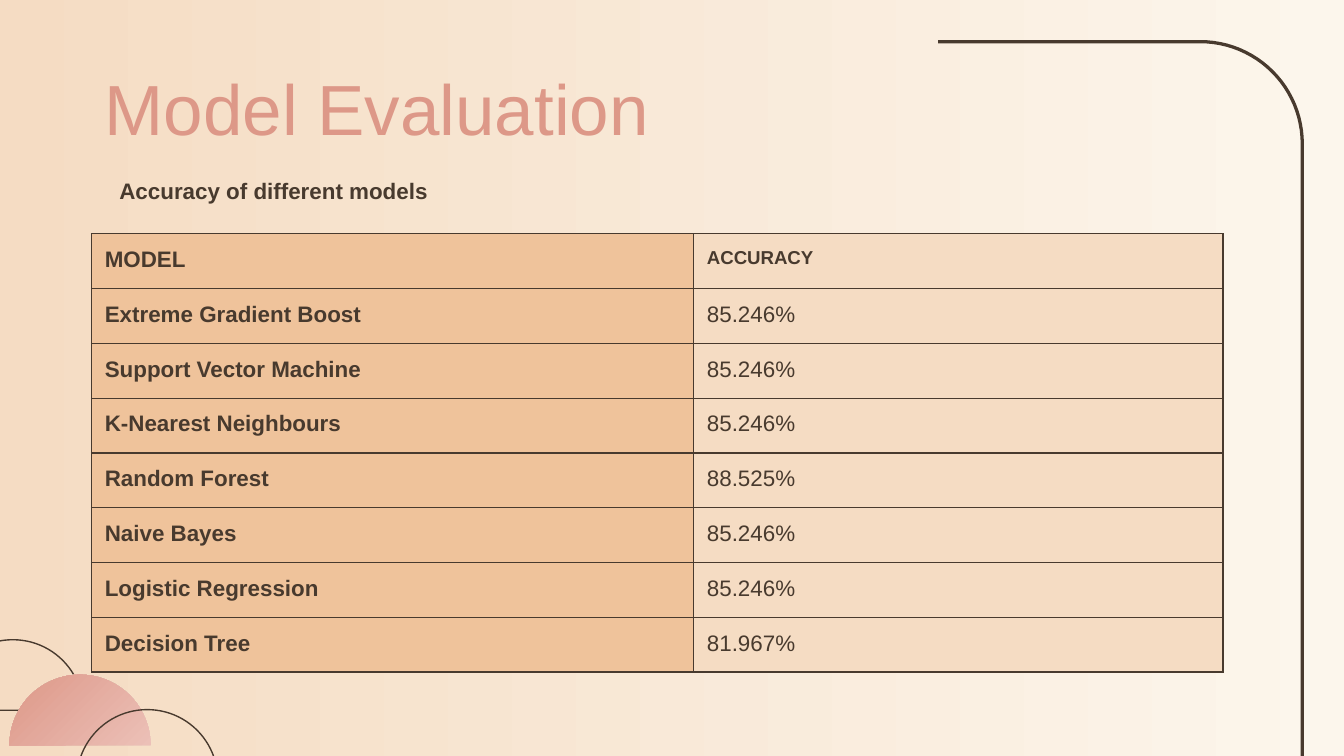
from math import cos, pi, sin

from lxml import etree
from pptx import Presentation
from pptx.dml.color import RGBColor
from pptx.enum.shapes import MSO_SHAPE
from pptx.enum.text import MSO_ANCHOR
from pptx.oxml.ns import qn
from pptx.util import Inches, Pt

PIE = MSO_SHAPE.PIE
TOP, MIDDLE = MSO_ANCHOR.TOP, MSO_ANCHOR.MIDDLE

BROWN = RGBColor(0x48, 0x3A, 0x2E)
ROSE = RGBColor(0xDD, 0x98, 0x88)
BLUSH = RGBColor(0xF1, 0xCE, 0xC8)
CREAM = RGBColor(0xFC, 0xF6, 0xEC)
PEACH = RGBColor(0xF5, 0xDC, 0xC3)
APRICOT = RGBColor(0xEF, 0xC3, 0x9B)

FONT = "Arial"
WIDTH = 10
HEIGHT = WIDTH * 9 / 16
PADDING = Inches(0.1)
HAIRLINE = Pt(0.75)

HEADER = ("MODEL", "ACCURACY")
RESULTS = [
    ("Extreme Gradient Boost", "85.246%"),
    ("Support Vector Machine", "85.246%"),
    ("K-Nearest Neighbours", "85.246%"),
    ("Random Forest", "88.525%"),
    ("Naive Bayes", "85.246%"),
    ("Logistic Regression", "85.246%"),
    ("Decision Tree", "81.967%"),
]


def set_gradient(fill, start, end, angle):
    fill.gradient()
    fill.gradient_angle = angle
    for stop, color, position in zip(fill.gradient_stops, (start, end), (0, 1)):
        stop.color.rgb = color
        stop.position = position


def style_text(paragraph, size, color, bold=False):
    font = paragraph.font
    font.name, font.size, font.bold = FONT, Pt(size), bold
    font.color.rgb = color


def add_corner_frame(slide, box, radius):
    """Draw a line along the top and right of the box, rounded where they meet."""
    left, top, width, height = map(Inches, box)
    right, bottom, radius = left + width, top + height, Inches(radius)
    steps = 24
    angles = [pi / 2 * step / steps for step in range(steps + 1)]
    corner = [(right - radius + radius * sin(a), top + radius - radius * cos(a))
              for a in angles]
    builder = slide.shapes.build_freeform(left, top)
    builder.add_line_segments(corner + [(right, bottom)], close=False)
    frame = builder.convert_to_shape()
    frame.shadow.inherit = False
    frame.fill.background()
    frame.line.color.rgb = BROWN
    frame.line.width = Pt(1.75)


def add_half_circles(slide, box, diameter):
    """Step three half circles evenly across the box; the middle one is filled."""
    left, top, width, height = box
    for index in range(3):
        share = index / 2
        half = slide.shapes.add_shape(
            PIE, Inches(left + share * (width - diameter)),
            Inches(top + share * (height - diameter)),
            Inches(diameter), Inches(diameter))
        half.adjustments[0], half.adjustments[1] = 53.9, 162
        half.rotation = 90
        half.shadow.inherit = False
        if index == 1:
            set_gradient(half.fill, BLUSH, ROSE, 225)
            half.line.fill.background()
        else:
            half.fill.background()
            half.line.color.rgb = BROWN
            half.line.width = HAIRLINE


def add_text(slide, box, text, size, color, bold=False, anchor=TOP):
    frame = slide.shapes.add_textbox(*map(Inches, box)).text_frame
    frame.word_wrap = True
    frame.vertical_anchor = anchor
    frame.margin_left = frame.margin_right = PADDING
    frame.margin_top = frame.margin_bottom = PADDING
    frame.text = text
    style_text(frame.paragraphs[0], size, color, bold)


def add_borders(cell):
    properties = cell._tc.get_or_add_tcPr()
    for side in ("a:lnL", "a:lnR", "a:lnT", "a:lnB"):
        border = etree.SubElement(properties, qn(side), w=str(HAIRLINE))
        fill = etree.SubElement(border, qn("a:solidFill"))
        etree.SubElement(fill, qn("a:srgbClr"), val=str(BROWN))


def add_accuracy_table(slide, box, model_width):
    rows = [HEADER] + RESULTS
    left, top, width, height = map(Inches, box)
    table = slide.shapes.add_table(len(rows), len(HEADER), left, top, width, height).table
    table.first_row = table.horz_banding = False
    table.columns[0].width = Inches(model_width)
    table.columns[1].width = width - Inches(model_width)
    for r, row in enumerate(rows):
        for c, text in enumerate(row):
            cell = table.cell(r, c)
            cell.text = text
            cell.margin_left = cell.margin_right = PADDING
            cell.margin_top = cell.margin_bottom = PADDING
            add_borders(cell)
            cell.fill.solid()
            cell.fill.fore_color.rgb = PEACH if c else APRICOT
            size = 10 if text == HEADER[1] else 12
            style_text(cell.text_frame.paragraphs[0], size, BROWN, bold=r == 0 or c == 0)


def main():
    presentation = Presentation()
    presentation.slide_width, presentation.slide_height = Inches(WIDTH), Inches(HEIGHT)
    slide = presentation.slides.add_slide(presentation.slide_layouts[6])
    set_gradient(slide.background.fill, CREAM, PEACH, 180)

    add_corner_frame(slide, (6.98, 0.31, 2.71, 5.91), radius=0.76)
    add_half_circles(slide, (-0.43, 4.76, 2.05, 1.57), diameter=1.05)
    add_accuracy_table(slide, (0.68, 1.74, 8.42, 3.26), model_width=4.48)
    add_text(slide, (0.79, 1.22, 8.43, 0.52), "Accuracy of different models",
             12, BROWN, bold=True)
    add_text(slide, (0.68, 0.48, 8.64, 0.63), "Model Evaluation", 38, ROSE, anchor=MIDDLE)
    presentation.save("out.pptx")


if __name__ == "__main__":
    main()
